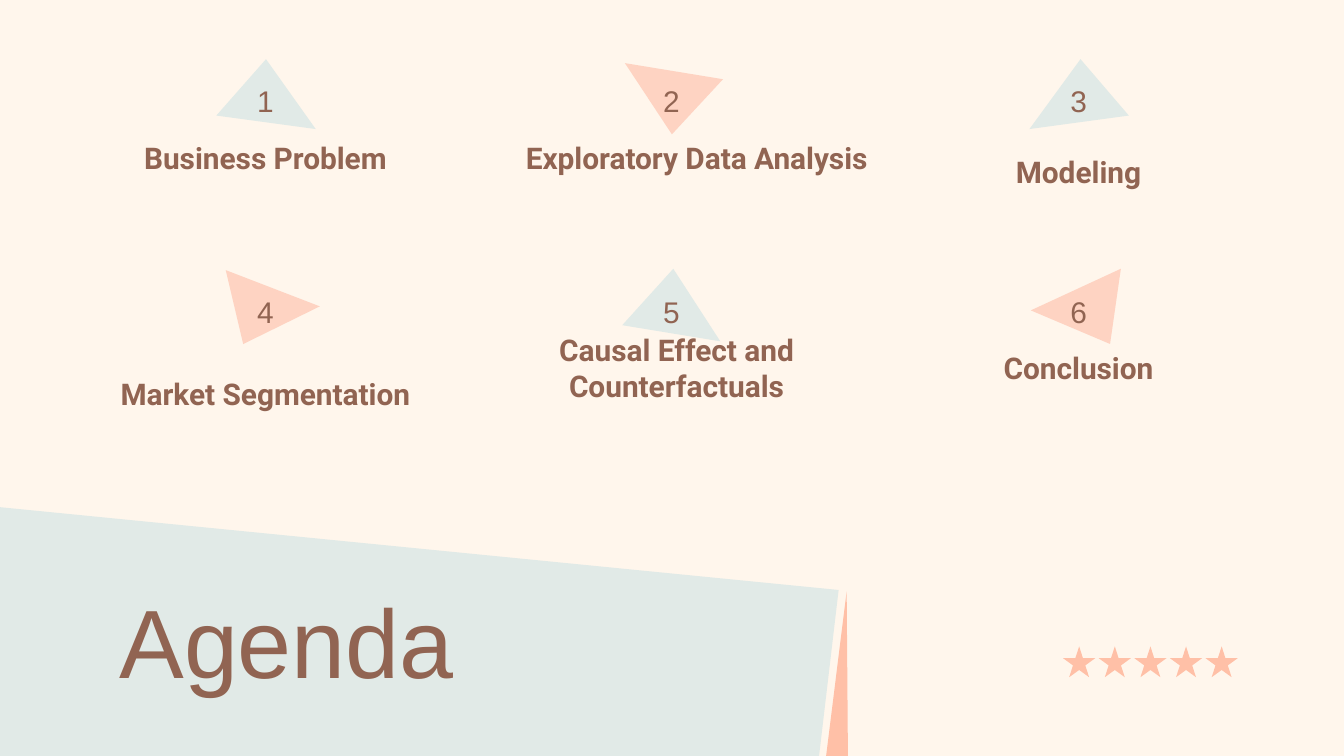
from pptx import Presentation
from pptx.dml.color import RGBColor
from pptx.enum.shapes import MSO_SHAPE
from pptx.enum.text import MSO_ANCHOR, PP_ALIGN
from pptx.util import Inches, Pt

STAR = MSO_SHAPE.STAR_5_POINT
TOP, MIDDLE = MSO_ANCHOR.TOP, MSO_ANCHOR.MIDDLE
LEFT, CENTER = PP_ALIGN.LEFT, PP_ALIGN.CENTER

CREAM, MIST, PEACH, BLUSH, BROWN = "FFF6EC", "E1EAE7", "FFC0A7", "FED3C2", "916452"

HEADING = {"name": "Arial", "size": Pt(52), "bold": False}
NUMBER = {"name": "Arial", "size": Pt(16), "bold": False}
TOPIC = {"name": "Roboto", "size": Pt(16), "bold": True}

COLUMN_CENTERS = [1.98, 5.0, 8.03]
NUMBER_TOPS = [0.59, 2.16]

# Topic, its top, box width, right inset, triangle colour, triangle corners
AGENDA = [
    ("Business Problem", 1.02, 2.39, 0.1, MIST, [(1.61, 0.86), (1.98, 0.44), (2.35, 0.96)]),
    ("Exploratory Data Analysis ", 1.02, 2.77, 0.1, BLUSH, [(5.38, 0.59), (5, 1), (4.65, 0.47)]),
    ("Modeling", 1.12, 2.39, 0.1, MIST, [(8.4, 0.86), (8.04, 0.44), (7.66, 0.96)]),
    ("Market Segmentation", 2.77, 2.39, 0.1, BLUSH, [(1.68, 2.01), (1.81, 2.56), (2.38, 2.28)]),
    ("Causal Effect and Counterfactuals", 2.58, 2.39, 0.02, MIST,
     [(4.63, 2.42), (5.01, 2), (5.36, 2.54)]),
    ("Conclusion", 2.58, 2.39, 0.1, BLUSH, [(8.34, 2), (8.26, 2.56), (7.67, 2.31)]),
]


def color(hex_value):
    return RGBColor.from_string(hex_value)


def paint(shape, fill):
    shape.shadow.inherit = False
    shape.fill.solid()
    shape.fill.fore_color.rgb = color(fill)
    shape.line.fill.background()


def add_polygon(slide, corners, fill):
    points = [(Inches(x), Inches(y)) for x, y in corners]
    builder = slide.shapes.build_freeform(*points[0])
    builder.add_line_segments(points[1:], close=True)
    paint(builder.convert_to_shape(), fill)


def add_label(slide, text, box, style, anchor=MIDDLE, align=CENTER, right_inset=0.1):
    frame = slide.shapes.add_textbox(*map(Inches, box)).text_frame
    layout = {
        "word_wrap": True,
        "vertical_anchor": anchor,
        "margin_left": Inches(0.1),
        "margin_top": Inches(0.1),
        "margin_right": Inches(right_inset),
        "margin_bottom": Inches(0.1),
    }
    for name, value in layout.items():
        setattr(frame, name, value)
    paragraph = frame.paragraphs[0]
    paragraph.alignment = align
    run = paragraph.add_run()
    run.text = text
    for name, value in style.items():
        setattr(run.font, name, value)
    run.font.color.rgb = color(BROWN)


def add_stars(slide, count=5, left=7.91, right=8.97):
    pitch = (right - left) / (count - 1)
    for i in range(count):
        star = slide.shapes.add_shape(
            STAR, Inches(left + i * pitch), Inches(4.81), Inches(0.24), Inches(0.23))
        paint(star, PEACH)


def main():
    prs = Presentation()
    # Widescreen, 16:9
    prs.slide_width = Inches(10)
    prs.slide_height = Inches(10) * 9 // 16
    slide = prs.slides.add_slide(prs.slide_layouts[6])
    slide.background.fill.solid()
    slide.background.fill.fore_color.rgb = color(CREAM)

    # Slanted title panel, its edge and the stars
    add_polygon(slide, [(6.08, 5.75), (-0.3, 5.73), (-0.34, 3.74), (6.24, 4.39)], MIST)
    add_polygon(slide, [(6.3, 4.4), (6.31, 5.74), (6.13, 5.76)], PEACH)
    add_stars(slide)
    add_label(slide, "Agenda", (0.79, 4.23, 8.43, 1.12), HEADING, TOP, LEFT)

    # Agenda grid, three columns by two rows
    for i, (topic, top, width, right_inset, fill, corners) in enumerate(AGENDA):
        row, column = divmod(i, 3)
        center = COLUMN_CENTERS[column]
        add_polygon(slide, corners, fill)
        add_label(slide, topic, (center - 1.2, top, width, 0.31), TOPIC,
                  right_inset=right_inset)
        add_label(slide, str(i + 1), (center - 0.44, NUMBER_TOPS[row], 0.87, 0.31), NUMBER)

    prs.save("out.pptx")


if __name__ == "__main__":
    main()
